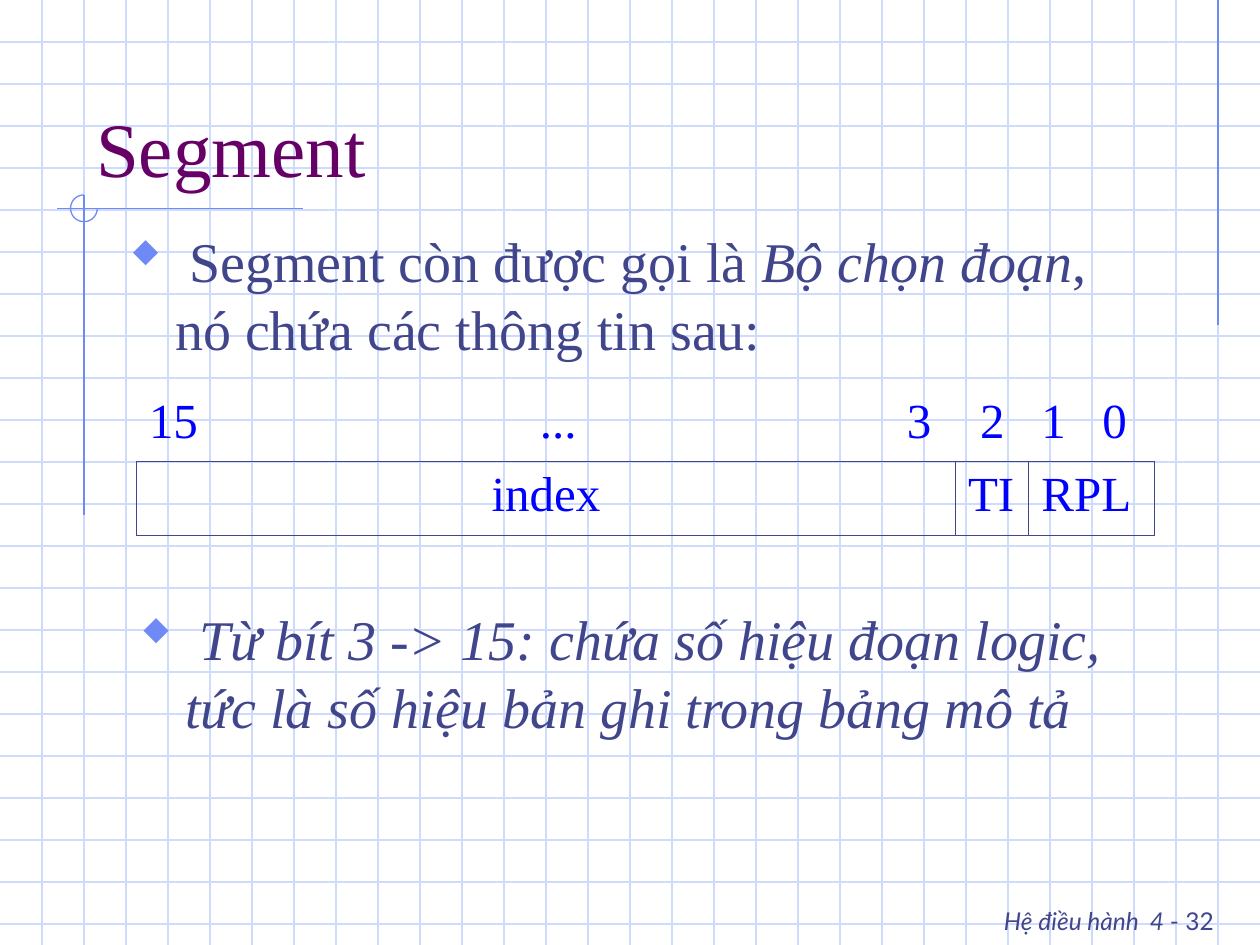
import math

from lxml import etree
from pptx import Presentation
from pptx import util as u
from pptx.dml.color import RGBColor
from pptx.enum import shapes, text
from pptx.oxml import ns

Cm = u.Cm
WIDTH, HEIGHT = 25.4, 19.05
GRID = WIDTH / 30
SERIF, SANS = "Times New Roman", "Lato"
COLORS = {
    "grid": "CFDBFD",
    "accent": "6F89F7",
    "title": "660066",
    "body": "40458C",
    "bits": "0000FF",
}


def add_xml(parent, tag, **attributes):
    return etree.SubElement(parent, ns.qn(tag), attributes)


def add_line(slide, x1, y1, x2, y2, color="accent"):
    line = slide.shapes.add_connector(
        shapes.MSO_CONNECTOR.STRAIGHT, Cm(x1), Cm(y1), Cm(x2), Cm(y2))
    line.line.color.rgb = RGBColor.from_string(COLORS[color])
    line.line.width = u.Pt(0.75)
    add_xml(line._element.spPr, "a:effectLst")


def write(paragraph, wording, size=32, color="body", font=SERIF, italic=False):
    run = paragraph.add_run()
    run.text = wording
    run.font.size = u.Pt(size)
    run.font.name = font
    run.font.italic = italic
    run.font.color.rgb = RGBColor.from_string(COLORS[color])


def add_text_box(slide, left, top, width, height, anchor=text.MSO_ANCHOR.TOP):
    frame = slide.shapes.add_textbox(
        Cm(left), Cm(top), Cm(width), Cm(height)).text_frame
    frame.word_wrap = True
    frame.vertical_anchor = anchor
    return frame.paragraphs[0]


def add_bullet(paragraph):
    paragraph.space_before = u.Pt(8)
    props = paragraph._p.get_or_add_pPr()
    props.set("marL", str(Cm(0.95)))
    props.set("indent", str(-Cm(0.95)))
    add_xml(add_xml(props, "a:buClr"), "a:srgbClr", val=COLORS["accent"])
    add_xml(props, "a:buSzPct", val="110000")
    # "w" is the filled diamond of this symbol font
    add_xml(props, "a:buFont", typeface="Wingdings", charset="2")
    add_xml(props, "a:buChar", char="w")


def add_tabs(paragraph, stops):
    tabs = add_xml(paragraph._p.get_or_add_pPr(), "a:tabLst")
    for position, align in stops:
        add_xml(tabs, "a:tab", pos=str(Cm(position)), algn=align)


def add_borders(cell, sides):
    props = cell._tc.get_or_add_tcPr()
    for index, side in enumerate(sides):
        border = etree.Element(ns.qn(f"a:ln{side}"), w=str(u.Pt(0.45)))
        add_xml(add_xml(border, "a:solidFill"), "a:srgbClr", val=COLORS["body"])
        props.insert(index, border)


def add_background(slide):
    # Squared paper
    for row in range(1, 23):
        add_line(slide, 0, row * GRID, WIDTH, row * GRID, "grid")
    for column in range(1, 30):
        add_line(slide, column * GRID, 0, column * GRID, HEIGHT, "grid")

    # Accent lines
    add_line(slide, 29 * GRID, 0, 29 * GRID, 6.55)
    add_line(slide, 6.1, 4.2, 1.14, 4.2)
    add_line(slide, 2 * GRID, 3.94, 2 * GRID, 10.39)

    # Three-quarter ring around their crossing
    radius = 0.27
    ring = [(Cm(2 * GRID + radius * math.cos(math.radians(angle))),
             Cm(4.2 + radius * math.sin(math.radians(angle))))
            for angle in range(0, 271, 10)]
    builder = slide.shapes.build_freeform(*ring[0])
    builder.add_line_segments(ring[1:], close=False)
    arc = builder.convert_to_shape()
    arc.shadow.inherit = False
    arc.fill.background()
    arc.line.color.rgb = RGBColor.from_string(COLORS["accent"])
    arc.line.width = u.Pt(0.75)


def add_selector_table(slide):
    rows = [["15\t...\t3", " 2", "1\t0"], ["index", "TI", "RPL"]]
    bit_tabs = {0: [(8.25, "ctr"), (15.77, "r")], 2: [(1.23, "l")]}
    table = slide.shapes.add_table(
        2, 3, Cm(2.75), Cm(7.83), Cm(20.53), Cm(2.96)).table
    table.first_row = table.horz_banding = False
    # Plain style without grid
    style = table._tbl.tblPr.find(ns.qn("a:tableStyleId"))
    style.text = "{2D5ABB26-0587-4C30-8999-92F81FD0307C}"
    for column, width in zip(table.columns, (16.51, 1.48, 2.54)):
        column.width = Cm(width)
    for r, row in enumerate(rows):
        for c, wording in enumerate(row):
            cell = table.cell(r, c)
            cell.fill.background()
            add_borders(cell, "LRTB" if r else "B")
            paragraph = cell.text_frame.paragraphs[0]
            paragraph.space_before = u.Pt(7)
            if r == 0 and c in bit_tabs:
                add_tabs(paragraph, bit_tabs[c])
            if wording == "index":
                paragraph.alignment = text.PP_ALIGN.CENTER
            write(paragraph, wording, size=28, color="bits")


def main():
    deck = Presentation()
    deck.slide_width, deck.slide_height = Cm(WIDTH), Cm(HEIGHT)
    slide = deck.slides.add_slide(deck.slide_layouts[6])
    add_background(slide)

    # Footer with page number
    footer = add_text_box(slide, 17.35, 17.78, 7.37, 1.27)
    footer.alignment = text.PP_ALIGN.RIGHT
    write(footer, "Hệ điều hành", size=14, font=SANS, italic=True)
    write(footer, " ", size=24, font=SANS)
    write(footer, "4 ", size=14, font=SANS, italic=True)
    write(footer, "- 32", size=14, font=SANS)

    # Title
    title = add_text_box(slide, 1.69, 0.85, 21.59, 3.17, text.MSO_ANCHOR.BOTTOM)
    write(title, "Segment", size=44, color="title")

    # Definition
    definition = add_text_box(slide, 2.33, 4.45, 20.75, 3.6)
    add_bullet(definition)
    write(definition, " Segment còn được gọi là ")
    write(definition, "Bộ chọn đoạn", italic=True)
    write(definition, ", nó chứa các thông tin sau:")

    # Bit layout
    add_selector_table(slide)

    # Meaning of the index bits
    meaning = add_text_box(slide, 2.54, 12.07, 20.75, 3.6)
    add_bullet(meaning)
    write(meaning, " Từ bít 3 -> 15: chứa số hiệu đoạn logic, "
          "tức là số hiệu bản ghi trong bảng mô tả", italic=True)

    deck.save("out.pptx")


if __name__ == "__main__":
    main()
